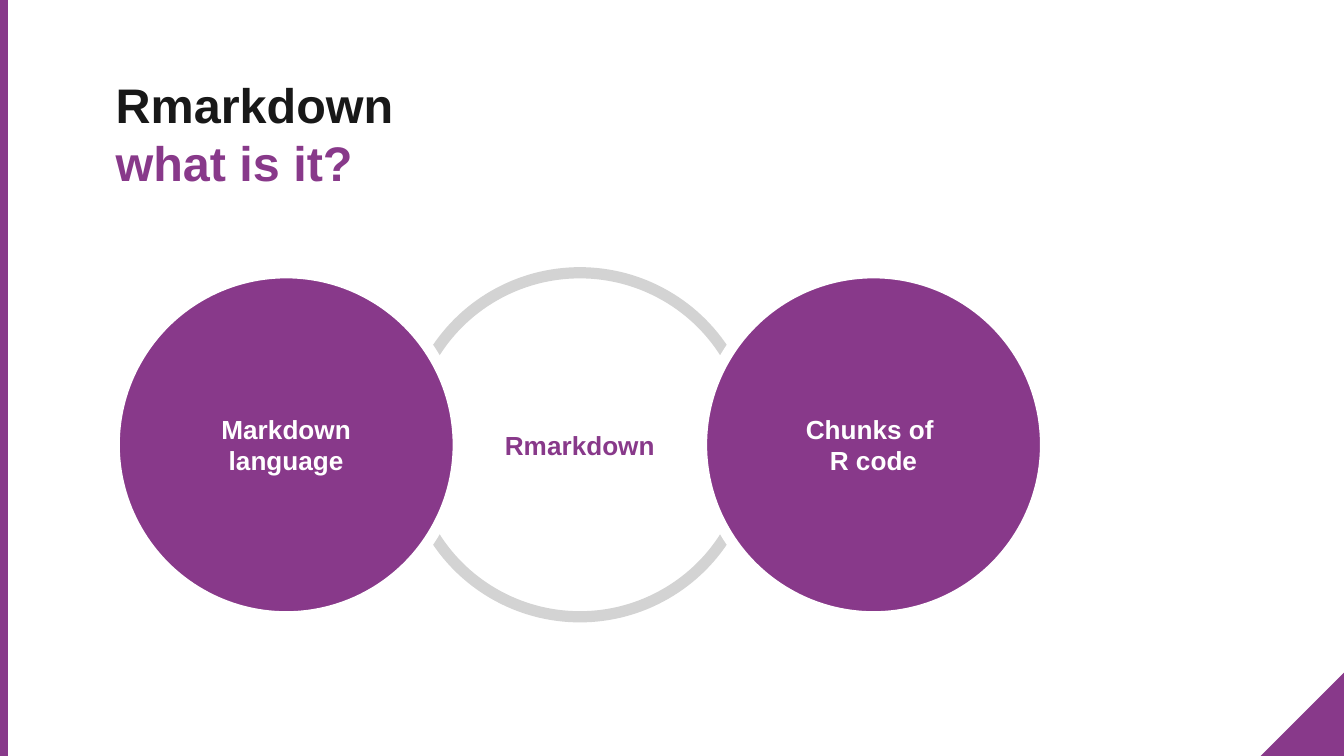
from pptx import Presentation
from pptx.dml.color import RGBColor
from pptx.enum import shapes as sh, text as tx
from pptx.util import Inches, Pt

HUE = {"purple": "88398A", "dark": "181818", "grey": "D3D3D3", "white": "FFFFFF"}
WIDE = 10
HIGH = WIDE * 9 / 16


def color(name):
    return RGBColor.from_string(HUE[name])


def add_shape(slide, kind, box, fill, line=None):
    shape = slide.shapes.add_shape(kind, *map(Inches, box))
    shape.shadow.inherit = False
    shape.fill.solid()
    shape.fill.fore_color.rgb = color(fill)
    if line:
        shape.line.color.rgb = color(line)
        shape.line.width = Pt(6)
    else:
        shape.line.fill.background()
    return shape


def set_frame(frame, anchor):
    frame.word_wrap = True
    frame.auto_size = tx.MSO_AUTO_SIZE.NONE
    frame.vertical_anchor = anchor
    frame.margin_left = frame.margin_right = Inches(0.1)
    frame.margin_top = frame.margin_bottom = Inches(0.1)


def set_para(para, size, align):
    para.alignment = align
    para.line_spacing = 1.0
    para.font.name = "Arial"
    para.font.size = Pt(size)
    para.font.bold = True


def add_decor(slide, box):
    """Left stripe and corner triangle of the page."""
    left, top, width, height = box
    side = 0.62
    add_shape(slide, sh.MSO_SHAPE.RECTANGLE, (left, top, 0.06, height), "purple")
    corner = add_shape(slide, sh.MSO_SHAPE.RIGHT_TRIANGLE,
                       (left + width - side, top + height - side, side, side), "purple")
    corner.element.spPr.xfrm.set("flipH", "1")


def add_title(slide, box, lines):
    """Two-line title, one colour to a line."""
    title = slide.shapes.title
    title.left, title.top, title.width, title.height = map(Inches, box)
    set_frame(title.text_frame, tx.MSO_ANCHOR.TOP)
    para = title.text_frame.paragraphs[0]
    set_para(para, 26, tx.PP_ALIGN.LEFT)
    for i, (words, hue) in enumerate(lines):
        if i:
            para.add_line_break()
        run = para.add_run()
        run.text = words
        run.font.color.rgb = color(hue)


def add_rings(slide, box, items):
    """Overlapping circles, evenly stepped across the box."""
    left, top, width, size = box
    step = (width - size) / (len(items) - 1)
    for place, words, fill, line, ink in items:
        ring = add_shape(slide, sh.MSO_SHAPE.OVAL,
                         (left + place * step, top, size, size), fill, line)
        set_frame(ring.text_frame, tx.MSO_ANCHOR.MIDDLE)
        para = ring.text_frame.paragraphs[0]
        para.text = words
        set_para(para, 14, tx.PP_ALIGN.CENTER)
        para.font.color.rgb = color(ink)


def main():
    deck = Presentation()
    deck.slide_width, deck.slide_height = Inches(WIDE), Inches(HIGH)
    slide = deck.slides.add_slide(deck.slide_layouts[5])

    add_decor(slide, (0, 0, WIDE, HIGH))
    add_title(slide, (0.76, 0.46, 3.53, 0.94),
              [("Rmarkdown", "dark"), ("what is it?", "purple")])
    # Middle ring first, so that the outer two overlap it
    add_rings(slide, (0.85, 2.03, 6.93, 2.56), [
        (1, "Rmarkdown", "white", "grey", "purple"),
        (0, "Markdown language", "purple", "white", "white"),
        (2, "Chunks of \vR code", "purple", "white", "white"),
    ])
    deck.save("out.pptx")


if __name__ == "__main__":
    main()
